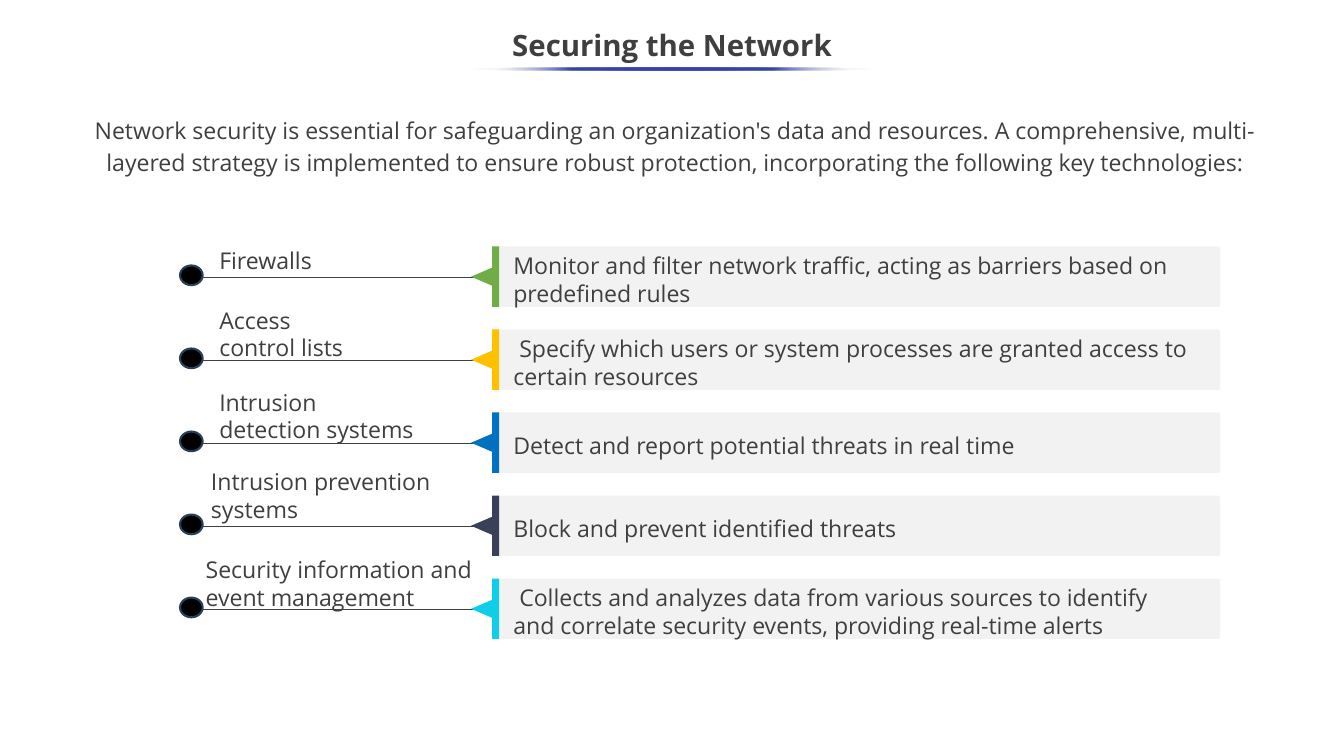
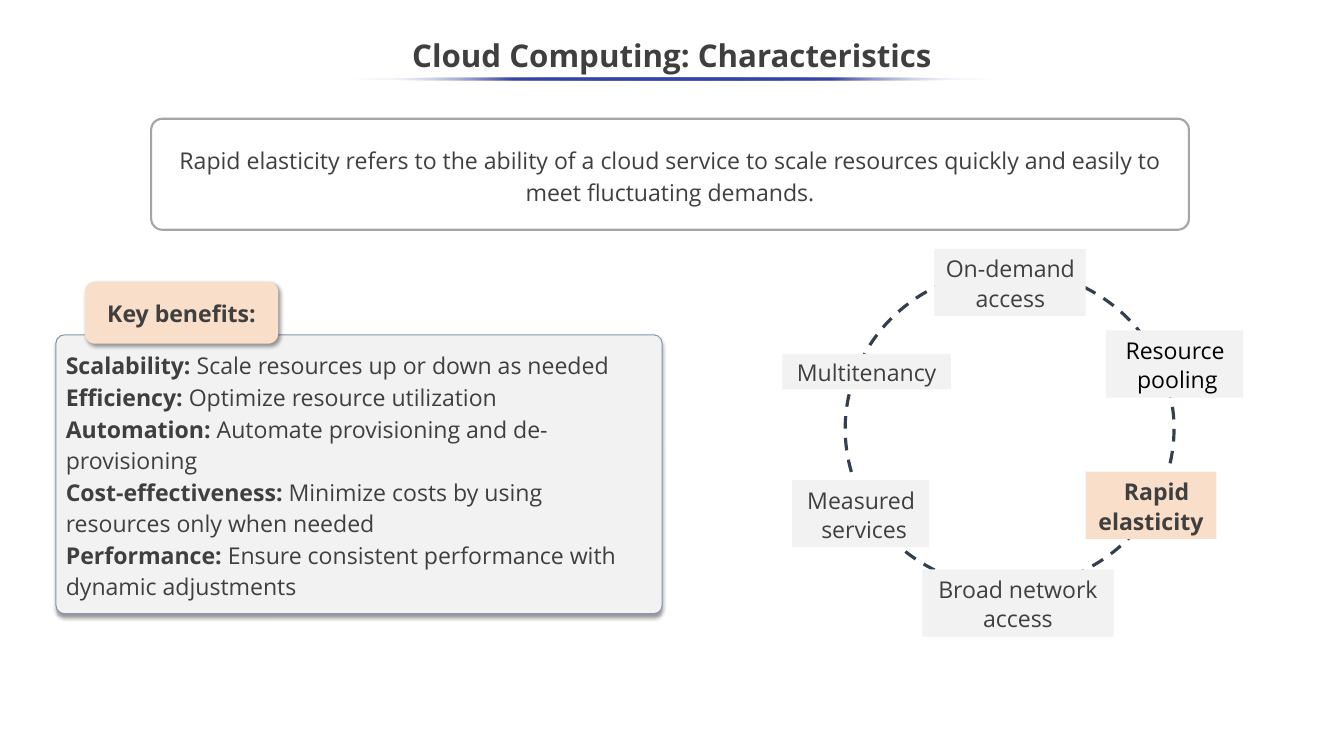
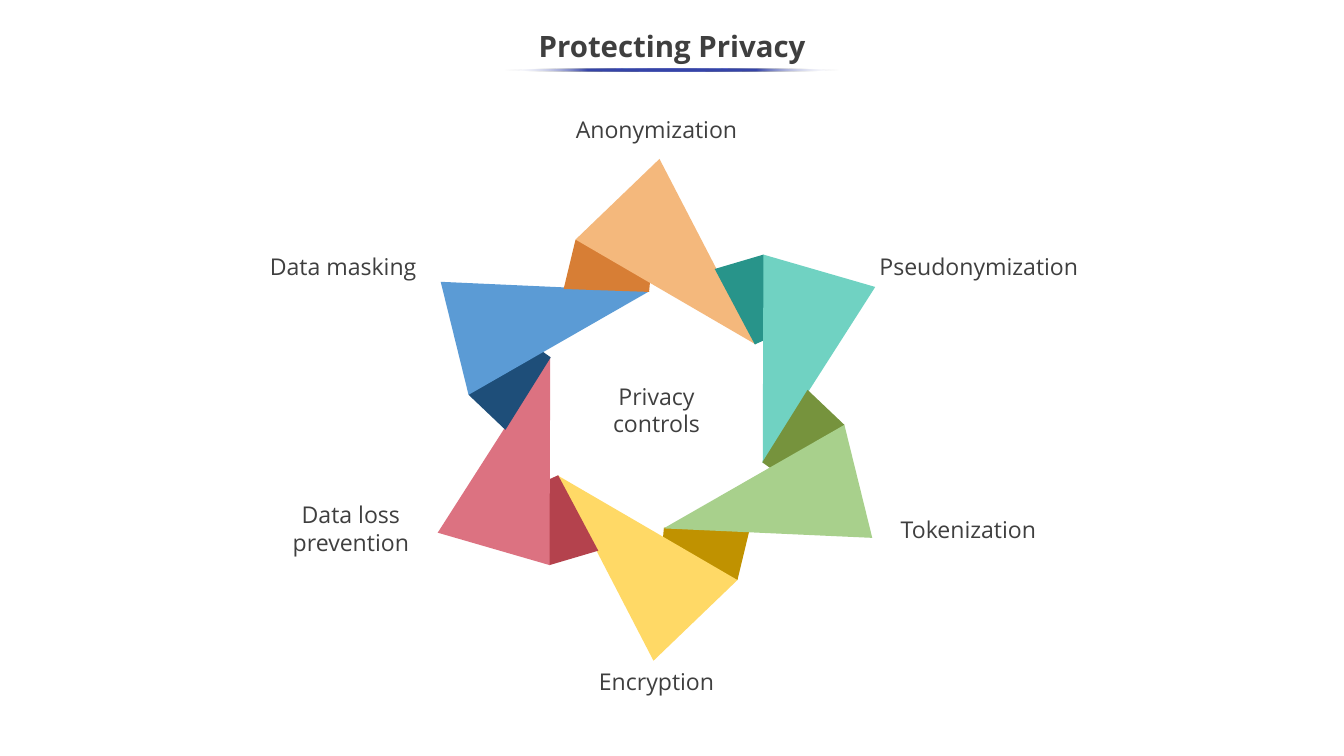
import math
from dataclasses import dataclass

from lxml import etree
from pptx import Presentation
from pptx.dml.color import RGBColor
from pptx.enum.dml import MSO_LINE
from pptx.enum.shapes import MSO_CONNECTOR, MSO_SHAPE
from pptx.enum.text import MSO_ANCHOR, MSO_AUTO_SIZE, PP_ALIGN
from pptx.oxml.ns import qn
from pptx.util import Cm, Pt

LEFT, CENTER = PP_ALIGN.LEFT, PP_ALIGN.CENTER
TOP, MIDDLE, BOTTOM = MSO_ANCHOR.TOP, MSO_ANCHOR.MIDDLE, MSO_ANCHOR.BOTTOM
RECT, ROUNDED, OVAL = MSO_SHAPE.RECTANGLE, MSO_SHAPE.ROUNDED_RECTANGLE, MSO_SHAPE.OVAL
ROUND_END, TRIANGLE = MSO_SHAPE.ROUND_2_SAME_RECTANGLE, MSO_SHAPE.ISOSCELES_TRIANGLE
DOT = MSO_SHAPE.FLOWCHART_CONNECTOR
DASH = MSO_LINE.DASH
STRAIGHT = MSO_CONNECTOR.STRAIGHT
TITLE_ONLY = 5


@dataclass(frozen=True)
class Theme:
    font: str = "Open Sans"
    title_size: float = 28
    wide_title_size: float = 29.8
    body_size: float = 22
    text: str = "3F3F3F"
    black: str = "000000"
    white: str = "FFFFFF"
    panel: str = "F2F2F2"
    highlight: str = "F9DEC9"
    title_rule: str = "3645A9"
    row_line: str = "404040"
    dot_edge: str = "264159"
    panel_edge: str = "8296B0"
    frame: str = "A5A5A5"
    ring: str = "323F4F"


THEME = Theme()
SLIDE_W, SLIDE_H = 45.16, 25.4

# label, label left, label bottom, label width, description, first-line indent, colour
TECHNOLOGIES = [
    ("Firewalls", 1.07, 1.07, 7.42,
     "Monitor and filter network traffic, acting as barriers based on predefined rules",
     0, "70AD47"),
    ("Access\ncontrol lists", 1.07, 1.2, 7.42,
     "Specify which users or system processes are granted access to certain resources",
     0.2, "FFC000"),
    ("Intrusion\ndetection systems", 1.07, 1.17, 7.42,
     "Detect and report potential threats in real time", 0, "0070C0"),
    ("Intrusion prevention systems", 0.79, 1.05, 9.17,
     "Block and prevent identified threats", 0, "3A405A"),
    ("Security information and event management", 0.61, 1.22, 11,
     "Collects and analyzes data from various sources to identify and correlate "
     "security events, providing real-time alerts", 0.2, "0FCFE8"),
]

BENEFITS = [
    ("Scalability:", " Scale resources up or down as needed"),
    ("Efficiency:", " Optimize resource utilization"),
    ("Automation:", " Automate provisioning and de-provisioning"),
    ("Cost-effectiveness:", " Minimize costs by using resources only when needed"),
    ("Performance:", " Ensure consistent performance with dynamic adjustments"),
]

# text, offset from the ring's corner, width, height, left margin, first-line indent
CHARACTERISTICS = [
    ("On-demand\naccess", 3, -0.71, 5.08, 2.26, 0.71, -0.69),
    ("Resource pooling", 8.76, 2.03, 4.62, 2.26, 0.18, -0.15),
    ("Rapid elasticity", 8.08, 6.78, 4.39, 2.26, 0, 0.38),
    ("Measured services", -1.78, 7.06, 4.6, 2.26, 0.23, -0.2),
    ("Multitenancy", -2.11, 2.82, 5.66, 1.19, 0, 0),
    ("Broad network access", 2.59, 10.06, 6.43, 2.26, 0, 0),
]

# text, label centre from the wheel's centre, turn in steps of 60°, fold and blade colours
CONTROLS = [
    ("Encryption", 0, 9.11, 3, "C09200", "FFD966"),
    ("Data loss prevention", -10.27, 3.99, 4, "B4424D", "DC7281"),
    ("Data masking", -10.53, -4.84, 5, "1E4E79", "5B9BD5"),
    ("Anonymization", 0, -9.41, 0, "D77E35", "F4B87C"),
    ("Pseudonymization", 10.83, -4.84, 1, "28948A", "70D2C2"),
    ("Tokenization", 10.48, 4, 2, "76933D", "A8D08C"),
]
BLADE = [(-2.72, -5.72), (0.1, -8.43), (3.33, -2.2)]
FOLD = [(-2.72, -5.72), (-0.08, -5.72), (-0.25, -3.96), (-3.12, -4.06)]


def rgb(value):
    return RGBColor.from_string(value)


def format_run(r, size=THEME.body_size, color=THEME.text, bold=False):
    r.font.name = THEME.font
    r.font.size = Pt(size)
    r.font.bold = bold
    r.font.color.rgb = rgb(color)


def write(sp, text, align=LEFT, anchor=TOP, spacing=1.0, margin=0, indent=0, **font):
    tf = sp.text_frame
    tf.word_wrap = True
    tf.vertical_anchor = anchor
    tf.text = text
    for p in tf.paragraphs:
        pPr = p._p.get_or_add_pPr()
        pPr.set("marL", str(Cm(margin)))
        pPr.set("indent", str(Cm(indent)))
        p.alignment = align
        p.line_spacing = spacing
        for r in p.runs:
            format_run(r, **font)


def add_text(s, x, y, w, h, text, **style):
    sp = s.shapes.add_textbox(Cm(x), Cm(y), Cm(w), Cm(h))
    write(sp, text, **style)
    return sp


def paint(sp, fill=None, line=None, width=1):
    sp.shadow.inherit = False
    if fill:
        sp.fill.solid()
        sp.fill.fore_color.rgb = rgb(fill)
    else:
        sp.fill.background()
    if line:
        sp.line.color.rgb = rgb(line)
        sp.line.width = Pt(width)
    else:
        sp.line.fill.background()


def add_box(s, kind, x, y, w, h, fill=None, line=None, width=1, corner=None):
    sp = s.shapes.add_shape(kind, Cm(x), Cm(y), Cm(w), Cm(h))
    paint(sp, fill, line, width)
    if corner is not None:
        sp.adjustments[0] = corner
    return sp


def add_line(s, x1, y1, x2, y2, color, width):
    line = s.shapes.add_connector(STRAIGHT, Cm(x1), Cm(y1), Cm(x2), Cm(y2))
    line.line.color.rgb = rgb(color)
    line.line.width = Pt(width)
    etree.SubElement(line.element.spPr, qn("a:effectLst"))


def add_color(parent, value, alpha):
    color = etree.SubElement(parent, qn("a:srgbClr"), val=value)
    etree.SubElement(color, qn("a:alpha"), val=str(alpha * 1000))


def cast_shadow(sp, angle):
    effects = sp.element.spPr.find(qn("a:effectLst"))
    shadow = etree.SubElement(effects, qn("a:outerShdw"), blurRad=str(Pt(4)),
                              dist=str(Pt(3)), dir=str(angle * 60000),
                              algn="t", rotWithShape="0")
    add_color(shadow, THEME.black, 40)


def fade_ends(sp):
    """Fill with the rule colour, clear at the left and right ends."""
    sp.fill.gradient()
    sp.fill.gradient_angle = 0
    stops = sp.element.spPr.find(qn("a:gradFill")).find(qn("a:gsLst"))
    for stop in list(stops):
        stops.remove(stop)
    for pos in (0, 25, 75, 100):
        stop = etree.SubElement(stops, qn("a:gs"), pos=str(pos * 1000))
        if pos in (0, 100):
            add_color(stop, THEME.white, 0)
        else:
            add_color(stop, THEME.title_rule, 100)


def add_titled_slide(prs, title, top, rule_width, size=THEME.title_size):
    s = prs.slides.add_slide(prs.slide_layouts[TITLE_ONLY])
    sp = s.shapes.title
    sp.left, sp.top, sp.width, sp.height = Cm(0), Cm(top), Cm(SLIDE_W), Cm(1.9)
    write(sp, title, align=CENTER, anchor=MIDDLE, spacing=0.9, size=size, bold=True)
    sp.text_frame.auto_size = MSO_AUTO_SIZE.NONE
    rule = add_box(s, OVAL, (SLIDE_W - rule_width) / 2, top + 1.63, rule_width, 0.1)
    fade_ends(rule)
    return s


def add_technology(s, x, y, technology):
    label, label_x, label_bottom, label_w, description, indent, color = technology
    row_h, band_w, label_h = 2.03, 24.28, 2.13
    add_line(s, x + 0.41, y + 1.04, x + 10.21, y + 1.04, THEME.row_line, 0.75)
    band = add_box(s, ROUND_END, x + 10.67 + (band_w - row_h) / 2, y + (row_h - band_w) / 2,
                   row_h, band_w, THEME.panel, corner=0.04)
    band.rotation = 90
    add_box(s, RECT, x + 10.49, y, 0.23, row_h, color)
    pointer = add_box(s, TRIANGLE, x + 9.83, y + 0.66, 0.61, 0.71, color)
    pointer.rotation = 270
    add_text(s, x + 10.95, y + 0.08, 23.24, row_h, description, anchor=MIDDLE, indent=indent)
    add_box(s, DOT, x, y + 0.64, 0.76, 0.66, THEME.black, THEME.dot_edge, 2)
    add_text(s, x + label_x, y + label_bottom - label_h, label_w, label_h, label,
             anchor=BOTTOM)


def add_benefits(s, x, y, w, h):
    panel = add_box(s, ROUNDED, x, y, w, h, THEME.panel, THEME.panel_edge, corner=0.03)
    cast_shadow(panel, 90)
    write(panel, "\n".join(lead for lead, _ in BENEFITS), anchor=MIDDLE, spacing=1.14,
          bold=True)
    for p, (_, rest) in zip(panel.text_frame.paragraphs, BENEFITS):
        r = p.add_run()
        r.text = rest
        format_run(r)
    tab = add_box(s, ROUNDED, x + 0.97, y - 1.78, 6.5, 2.08, THEME.highlight)
    cast_shadow(tab, 45)
    write(tab, "Key benefits:", align=CENTER, anchor=MIDDLE, bold=True)


def add_characteristics(s, x, y, w, h, current, dark):
    """Dashed ring of labels; current is highlighted, dark is set in black."""
    ring = add_box(s, OVAL, x, y, w, h, line=THEME.ring, width=3)
    ring.line.dash_style = DASH
    for text, dx, dy, label_w, label_h, margin, indent in CHARACTERISTICS:
        is_current = text == current
        sp = add_box(s, RECT, x + dx, y + dy, label_w, label_h,
                     THEME.highlight if is_current else THEME.panel)
        write(sp, text, align=CENTER, anchor=MIDDLE, spacing=1.06, margin=margin,
              indent=indent, bold=is_current,
              color=THEME.black if text == dark else THEME.text)


def add_facet(s, cx, cy, points, turn, color):
    a = math.radians(60 * turn)
    turned = [(Cm(cx + px * math.cos(a) - py * math.sin(a)),
               Cm(cy + px * math.sin(a) + py * math.cos(a))) for px, py in points]
    builder = s.shapes.build_freeform(*turned[0])
    builder.add_line_segments(turned[1:], close=True)
    paint(builder.convert_to_shape(), color)


def add_centered_text(s, cx, cy, w, text):
    h = 2.13
    add_text(s, cx - w / 2, cy - h / 2, w, h, text, align=CENTER, anchor=MIDDLE)


def add_pinwheel(s, cx, cy):
    for text, dx, dy, turn, fold, blade in CONTROLS:
        add_facet(s, cx, cy, FOLD, turn, fold)
        add_facet(s, cx, cy, BLADE, turn, blade)
        add_centered_text(s, cx + dx, cy + dy, 7.5, text)
    add_centered_text(s, cx, cy, 5.7, "Privacy controls")


def build_network_slide(prs):
    s = add_titled_slide(prs, "Securing the Network", 0.64, 13.44)
    intro = add_text(
        s, 1.75, 3.78, 41.86, 2.29,
        "Network security is essential for safeguarding an organization's data and "
        "resources. A comprehensive, multi-layered strategy is implemented to ensure "
        "robust protection, incorporating the following key technologies:",
        align=CENTER, spacing=1.15)
    intro.text_frame.margin_top = intro.text_frame.margin_bottom = 0
    for i, technology in enumerate(TECHNOLOGIES):
        add_technology(s, 6.05, 8.28 + 2.79 * i, technology)


def build_cloud_slide(prs):
    s = add_titled_slide(prs, "Cloud Computing: Characteristics", 0.97, 21.44,
                         THEME.wide_title_size)
    definition = add_box(s, ROUNDED, 5.08, 3.99, 34.87, 3.73, line=THEME.frame, width=2,
                         corner=0.1)
    write(definition,
          "Rapid elasticity refers to the ability of a cloud service to scale resources "
          "quickly and easily to meet fluctuating demands.",
          align=CENTER, anchor=MIDDLE, spacing=1.14)
    add_benefits(s, 1.88, 11.25, 20.37, 9.37)
    add_characteristics(s, 28.4, 9.07, 11.05, 10.67,
                        current="Rapid elasticity", dark="Resource pooling")


def build_privacy_slide(prs):
    s = add_titled_slide(prs, "Protecting Privacy", 0.66, 11.23)
    add_pinwheel(s, 22.06, 13.77)


def main():
    prs = Presentation()
    prs.slide_width, prs.slide_height = Cm(SLIDE_W), Cm(SLIDE_H)
    build_network_slide(prs)
    build_cloud_slide(prs)
    build_privacy_slide(prs)
    prs.save("out.pptx")


if __name__ == "__main__":
    main()
